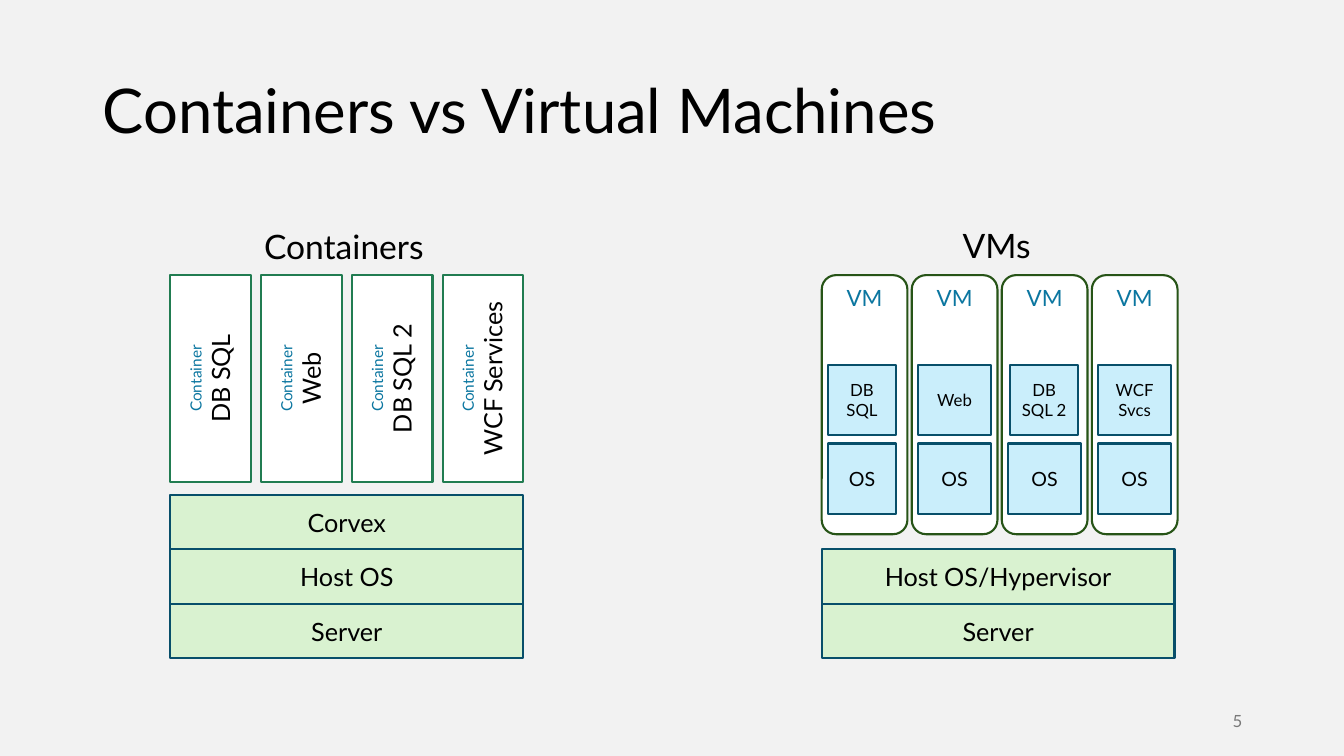
import pptx
import pptx.util
from pptx.dml.color import RGBColor
from pptx.enum.shapes import MSO_SHAPE
from pptx.enum.text import MSO_ANCHOR, MSO_AUTO_SIZE, PP_ALIGN

BLACK = RGBColor(0x00, 0x00, 0x00)
WHITE = RGBColor(0xFF, 0xFF, 0xFF)
BACKGROUND = RGBColor(0xF2, 0xF2, 0xF2)
GREY = RGBColor(0x79, 0x79, 0x79)
BLUE = RGBColor(0x0B, 0x76, 0xA0)
NAVY = RGBColor(0x08, 0x4F, 0x6A)
PALE_BLUE = RGBColor(0xCA, 0xEE, 0xFB)
PALE_GREEN = RGBColor(0xD9, 0xF2, 0xD0)
GREEN = RGBColor(0x21, 0x7C, 0x51)
DARK_GREEN = RGBColor(0x27, 0x54, 0x17)

# Shared grid, in inches
STACK_WIDTH = 3.5
LAYER_HEIGHT = 0.54
SERVER_TOP = 5.99
UNITS_TOP = 2.73
CONTAINERS_LEFT, CONTAINER_PITCH = 1.69, 0.9
VMS_LEFT, VM_PITCH = 8.15, 0.893
VM_INSET = 0.06


def write(holder, runs, align=PP_ALIGN.CENTER, anchor=MSO_ANCHOR.MIDDLE):
    """Write (text, size, colour) runs, one line each."""
    frame = holder.text_frame
    frame.word_wrap = True
    frame.vertical_anchor = anchor
    paragraph = frame.paragraphs[0]
    paragraph.alignment = align
    for number, (text, size, colour) in enumerate(runs):
        if number:
            paragraph.add_line_break()
        run = paragraph.add_run()
        run.text = text
        formats = {"name": "Lato", "size": pptx.util.Pt(size)}
        for attribute, value in formats.items():
            setattr(run.font, attribute, value)
        run.font.color.rgb = colour
    return paragraph


def add_block(group, kind, place, fill, line, runs, anchor=MSO_ANCHOR.MIDDLE):
    block = group.shapes.add_shape(kind, *map(pptx.util.Inches, place))
    block.shadow.inherit = False
    block.fill.solid()
    block.fill.fore_color.rgb = fill
    block.line.color.rgb = line
    block.line.width = pptx.util.Pt(1.5)
    write(block, runs, anchor=anchor)
    return block


deck = pptx.Presentation()
deck.slide_width = pptx.util.Inches(13.33)
deck.slide_height = pptx.util.Inches(7.5)
slide = deck.slides.add_slide(deck.slide_layouts[6])
slide.background.fill.solid()
slide.background.fill.fore_color.rgb = BACKGROUND

# Title and page number
title = slide.shapes.add_textbox(*map(pptx.util.Inches, (0.92, 0.4, 11.5, 1.45)))
heading = write(title, [("Containers vs Virtual Machines", 44, BLACK)], PP_ALIGN.LEFT)
heading.line_spacing = 0.9
page_number = slide.shapes.add_textbox(*map(pptx.util.Inches, (9.42, 6.95, 3, 0.4)))
write(page_number, [("5", 12, GREY)], PP_ALIGN.RIGHT)

# Both sides: shared layers from the server upwards, and a caption
containers_side = slide.shapes.add_group_shape()
vms_side = slide.shapes.add_group_shape()
sides = [
    (containers_side, CONTAINERS_LEFT, ["Server", "Host OS", "Corvex"],
     "Containers", (2.52, 2.19, 1.85, 0.5)),
    (vms_side, VMS_LEFT, ["Server", "Host OS/Hypervisor"],
     "VMs", (9.45, 2.18, 0.9, 0.5)),
]
for side, left, layers, caption_text, caption_place in sides:
    for level, layer in enumerate(layers):
        place = (left, SERVER_TOP - level * LAYER_HEIGHT, STACK_WIDTH, LAYER_HEIGHT)
        add_block(side, MSO_SHAPE.RECTANGLE, place, PALE_GREEN, NAVY,
                  [(layer, 18, BLACK)])
    caption = side.shapes.add_textbox(*map(pptx.util.Inches, caption_place))
    write(caption, [(caption_text, 24, BLACK)], PP_ALIGN.LEFT, MSO_ANCHOR.TOP)
    caption.text_frame.auto_size = MSO_AUTO_SIZE.SHAPE_TO_FIT_TEXT

# Containers, with text running upwards
for column, service in enumerate(["DB SQL", "Web", "DB SQL 2", "WCF Services"]):
    place = (CONTAINERS_LEFT + column * CONTAINER_PITCH, UNITS_TOP, 0.8, 2.05)
    container = add_block(containers_side, MSO_SHAPE.RECTANGLE, place, WHITE, GREEN,
                          [("Container", 11, BLUE), (service, 18, BLACK)])
    container.text_frame._txBody.bodyPr.set("vert", "vert270")

# Virtual machines, each with an application above its own OS
machines = [
    # application lines, application inset and width, OS width
    (["DB SQL"], VM_INSET, 0.68, 0.68),
    (["Web"], VM_INSET, 0.73, 0.73),
    (["DB SQL 2"], 0.08, 0.68, 0.73),
    (["WCF", "Svcs"], VM_INSET, 0.73, 0.73),
]
for column, (application, inset, app_width, os_width) in enumerate(machines):
    left = VMS_LEFT + column * VM_PITCH
    add_block(vms_side, MSO_SHAPE.ROUNDED_RECTANGLE, (left, UNITS_TOP, 0.85, 2.57),
              WHITE, DARK_GREEN, [("VM", 16, BLUE)], MSO_ANCHOR.TOP)
    add_block(vms_side, MSO_SHAPE.RECTANGLE, (left + inset, 3.62, app_width, 0.7),
              PALE_BLUE, NAVY, [(line, 12, BLACK) for line in application])
    add_block(vms_side, MSO_SHAPE.RECTANGLE, (left + VM_INSET, 4.4, os_width, 0.7),
              PALE_BLUE, NAVY, [("OS", 14, BLACK)])

deck.save("out.pptx")
